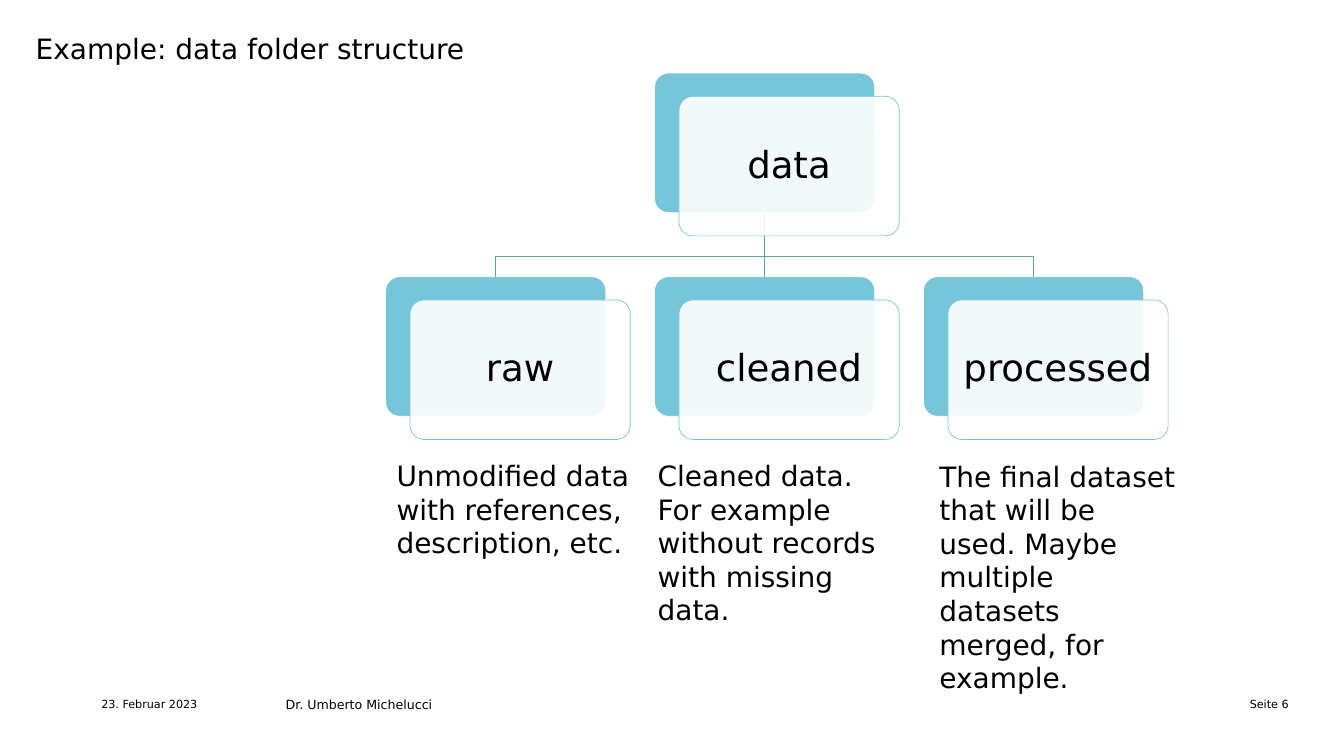
from lxml.etree import SubElement
from pptx import Presentation
from pptx.dml.color import RGBColor
from pptx.enum.shapes import MSO_CONNECTOR, MSO_SHAPE
from pptx.enum.text import MSO_ANCHOR, PP_ALIGN
from pptx.oxml.ns import qn
from pptx.util import Pt

AQUA = RGBColor(0x77, 0xC5, 0xD8)
TEAL = RGBColor(0x5F, 0x9E, 0xAD)
WHITE = RGBColor(0xFF, 0xFF, 0xFF)
BLACK = RGBColor(0, 0, 0)

deck = Presentation()
deck.slide_width, deck.slide_height = Pt(1920), Pt(1080)
slide = deck.slides.add_slide(deck.slide_layouts[6])
shapes = slide.shapes


def write(shape, text, size, inset=None, **form):
    frame = shape.text_frame
    frame.word_wrap = True
    if inset is not None:
        for side in ("left", "top", "right", "bottom"):
            setattr(frame, "margin_" + side, Pt(inset))
        frame.vertical_anchor = MSO_ANCHOR.MIDDLE
    para = frame.paragraphs[0]
    para.alignment = PP_ALIGN.LEFT
    for key, value in form.items():
        setattr(para, key, value)
    run = para.add_run()
    run.text = text
    run.font.name = "DejaVu Sans"
    run.font.size = Pt(size)
    run.font.color.rgb = BLACK


def card(left, top, fill, line):
    box = shapes.add_shape(MSO_SHAPE.ROUNDED_RECTANGLE,
                           Pt(left), Pt(top), Pt(WIDE), Pt(HIGH))
    box.adjustments[0] = 0.1
    box.shadow.inherit = False
    box.fill.solid()
    box.fill.fore_color.rgb = fill
    box.line.color.rgb = line
    box.line.width = Pt(1)
    return box


# Tree layout: one root above three folders
WIDE, HIGH, STEP = 314.6, 199.4, 384.2
LEFT, TOP, LOW = 550.9, 104.4, 395.3
cols = [LEFT + i * STEP for i in range(3)]
nodes = [("data", cols[1], TOP), ("raw", cols[0], LOW),
         ("cleaned", cols[1], LOW), ("processed", cols[2], LOW)]

# Coloured back cards
backs = {name: card(x, y, AQUA, WHITE) for name, x, y in nodes}

# Branches to the outer folders
mid = cols[1] + WIDE / 2
foot, bend = TOP + HIGH, 365.8
for x in (cols[0] + WIDE / 2, cols[2] + WIDE / 2):
    pen = shapes.build_freeform(Pt(mid), Pt(foot))
    pen.add_line_segments([(Pt(mid), Pt(bend)), (Pt(x), Pt(bend)),
                           (Pt(x), Pt(LOW))], close=False)
    branch = pen.convert_to_shape()
    branch.shadow.inherit = False
    branch.fill.background()
    branch.line.color.rgb = TEAL
    branch.line.width = Pt(1)

# Straight branch to the middle folder
stem = shapes.add_connector(MSO_CONNECTOR.STRAIGHT,
                            Pt(mid), Pt(foot), Pt(mid), Pt(LOW))
stem.begin_connect(backs["data"], 2)
stem.end_connect(backs["cleaned"], 0)
stem.line.color.rgb = TEAL
stem.line.width = Pt(1)
SubElement(stem._element.spPr, qn("a:effectLst"))

# Translucent front cards with the folder names
for name, x, y in nodes:
    front = card(x + 34.9, y + 33.2, WHITE, AQUA)
    tint = front._element.spPr.find(qn("a:solidFill"))[0]
    SubElement(tint, qn("a:alpha"), val="90000")
    write(front, name, 53, 15.8, alignment=PP_ALIGN.CENTER,
          line_spacing=0.9, space_after=Pt(18.5))

# Title, notes under the folders, and footer
right = {"alignment": PP_ALIGN.RIGHT}
texts = [
    ("Example: data folder structure", 40, 0, (51, 43.2, 1762.6, 46.8),
     {"line_spacing": 1.1}),
    ("Unmodified data with references, description, etc.", 40, None,
     (559.4, 651.6, 355, 152.6), {}),
    ("Cleaned data. For example without records with missing data.", 40, None,
     (932.4, 651.6, 355, 249.8), {}),
    ("The final dataset that will be used. Maybe multiple datasets merged, "
     "for example.", 40, None, (1334.9, 652.3, 355, 346.3), {}),
    ("23. Februar 2023", 16, 0, (144.7, 998.6, 240.5, 14.4), {}),
    ("Dr. Umberto Michelucci", 18, None, (401, 991.4, 960.5, 28.8),
     {"space_after": Pt(6)}),
    ("Seite 6", 16, 0, (1600.6, 998.6, 240.5, 14.4), right),
]
for text, size, inset, place, form in texts:
    box = shapes.add_textbox(*[Pt(n) for n in place])
    write(box, text, size, inset, **form)

deck.save("out.pptx")
